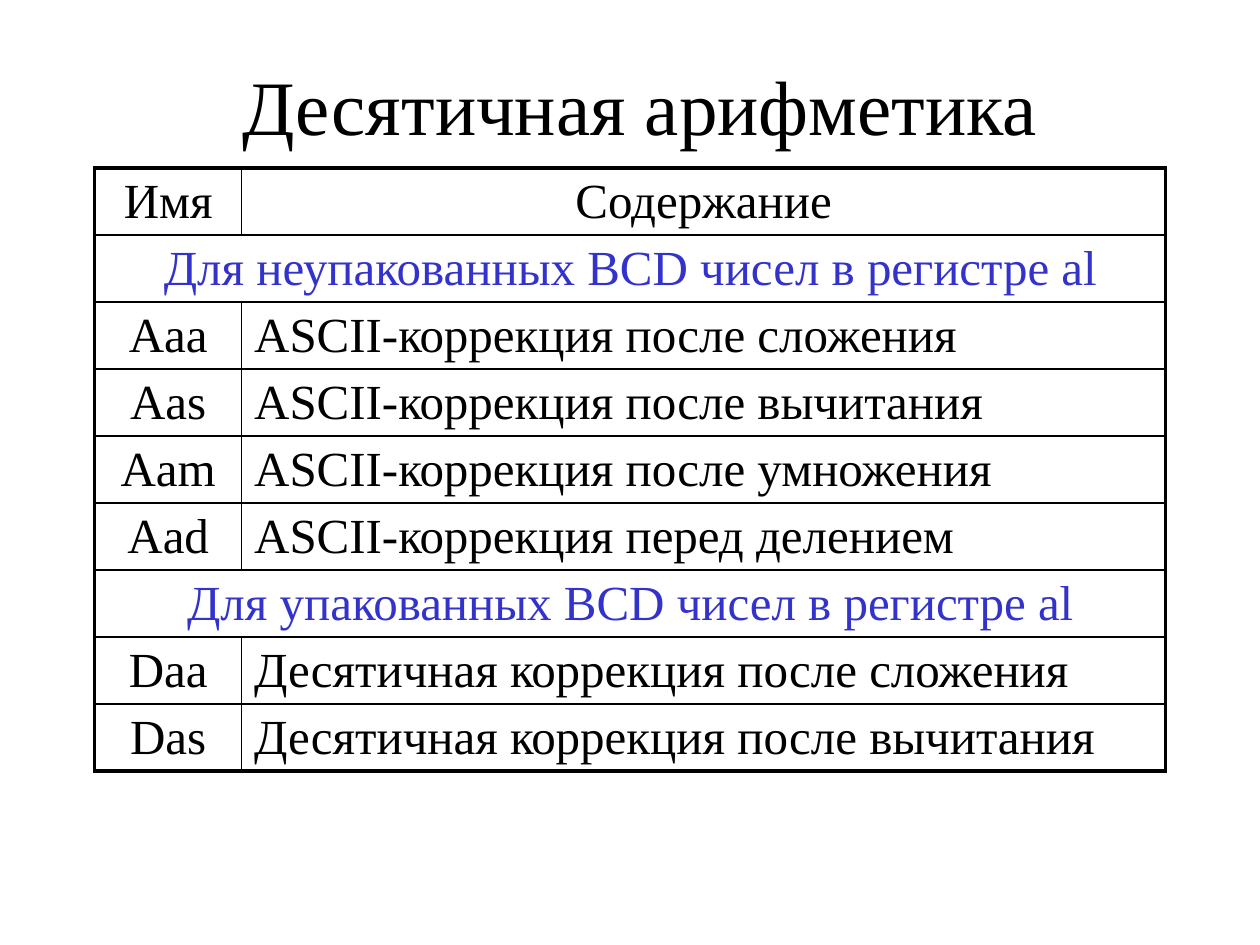
from dataclasses import dataclass

from lxml.etree import SubElement
from pptx import Presentation
from pptx.dml.color import RGBColor
from pptx.enum.text import MSO_ANCHOR, PP_ALIGN
from pptx.oxml.ns import qn
from pptx.util import Cm, Pt


@dataclass(frozen=True)
class Theme:
    font: str = "Times New Roman"
    ink: str = "000000"
    section: str = "3333CC"
    title_size: float = 44
    table_size: float = 28
    outer_line: float = 2.25
    inner_line: float = 1


THEME = Theme()

TITLE = "Десятичная арифметика"
HEADER = ("Имя", "Содержание")
SECTIONS = {
    "Для неупакованных BCD чисел в регистре al": [
        ("Aaa", "ASCII-коррекция после сложения"),
        ("Aas", "ASCII-коррекция после вычитания"),
        ("Aam", "ASCII-коррекция после умножения"),
        ("Aad", "ASCII-коррекция перед делением"),
    ],
    "Для упакованных BCD чисел в регистре al": [
        ("Daa", "Десятичная коррекция после сложения"),
        ("Das", "Десятичная коррекция после вычитания"),
    ],
}
COLUMN_WIDTHS = (Cm(2.96), Cm(18.63))
ROW_HEIGHT = Cm(1.35)


def write(frame, text, size=THEME.table_size, color=THEME.ink,
          align=PP_ALIGN.CENTER):
    paragraph = frame.paragraphs[0]
    paragraph.alignment = align
    run = paragraph.add_run()
    run.text = text
    run.font.name = THEME.font
    run.font.size = Pt(size)
    run.font.color.rgb = RGBColor.from_string(color)


def add_title(slide):
    title = slide.shapes.add_textbox(Cm(2.11), Cm(1.27), Cm(21.59), Cm(1.7))
    frame = title.text_frame
    frame.word_wrap = True
    frame.vertical_anchor = MSO_ANCHOR.MIDDLE
    write(frame, TITLE, size=THEME.title_size)


def set_border(cell, side, width):
    line = SubElement(cell._tc.get_or_add_tcPr(), qn(f"a:ln{side}"),
                      w=str(Pt(width)))
    fill = SubElement(line, qn("a:solidFill"))
    SubElement(fill, qn("a:srgbClr"), val=THEME.ink)


def format_cells(table):
    last_row = len(table.rows) - 1
    last_column = len(table.columns) - 1
    for r in range(last_row + 1):
        for c in range(last_column + 1):
            cell = table.cell(r, c)
            cell.margin_top, cell.margin_bottom = Cm(0.13), Cm(0.02)
            # A thick frame outside, thin rules inside
            outer = {"L": c == 0,
                     "R": c == last_column or cell.is_merge_origin,
                     "T": r == 0, "B": r == last_row}
            for side, is_outer in outer.items():
                set_border(cell, side,
                           THEME.outer_line if is_outer else THEME.inner_line)
            cell.fill.background()


def add_command_table(slide):
    row_count = 1 + sum(1 + len(commands) for commands in SECTIONS.values())
    table = slide.shapes.add_table(
        row_count, len(COLUMN_WIDTHS), Cm(1.91), Cm(3.39),
        sum(COLUMN_WIDTHS), ROW_HEIGHT * row_count).table
    table.first_row = table.horz_banding = False
    for column, width in zip(table.columns, COLUMN_WIDTHS):
        column.width = width
    for row in table.rows:
        row.height = ROW_HEIGHT

    # Header row
    for c, heading in enumerate(HEADER):
        write(table.cell(0, c).text_frame, heading)

    # Each section: a merged heading, then its commands
    r = 1
    for section, commands in SECTIONS.items():
        heading_cell = table.cell(r, 0)
        heading_cell.merge(table.cell(r, 1))
        write(heading_cell.text_frame, section, color=THEME.section)
        for r, (name, meaning) in enumerate(commands, r + 1):
            write(table.cell(r, 0).text_frame, name)
            write(table.cell(r, 1).text_frame, meaning, align=PP_ALIGN.LEFT)
        r += 1

    format_cells(table)


def main():
    presentation = Presentation()
    presentation.slide_width, presentation.slide_height = Cm(25.4), Cm(19.05)
    slide = presentation.slides.add_slide(presentation.slide_layouts[6])
    add_title(slide)
    add_command_table(slide)
    presentation.save("out.pptx")


if __name__ == "__main__":
    main()
